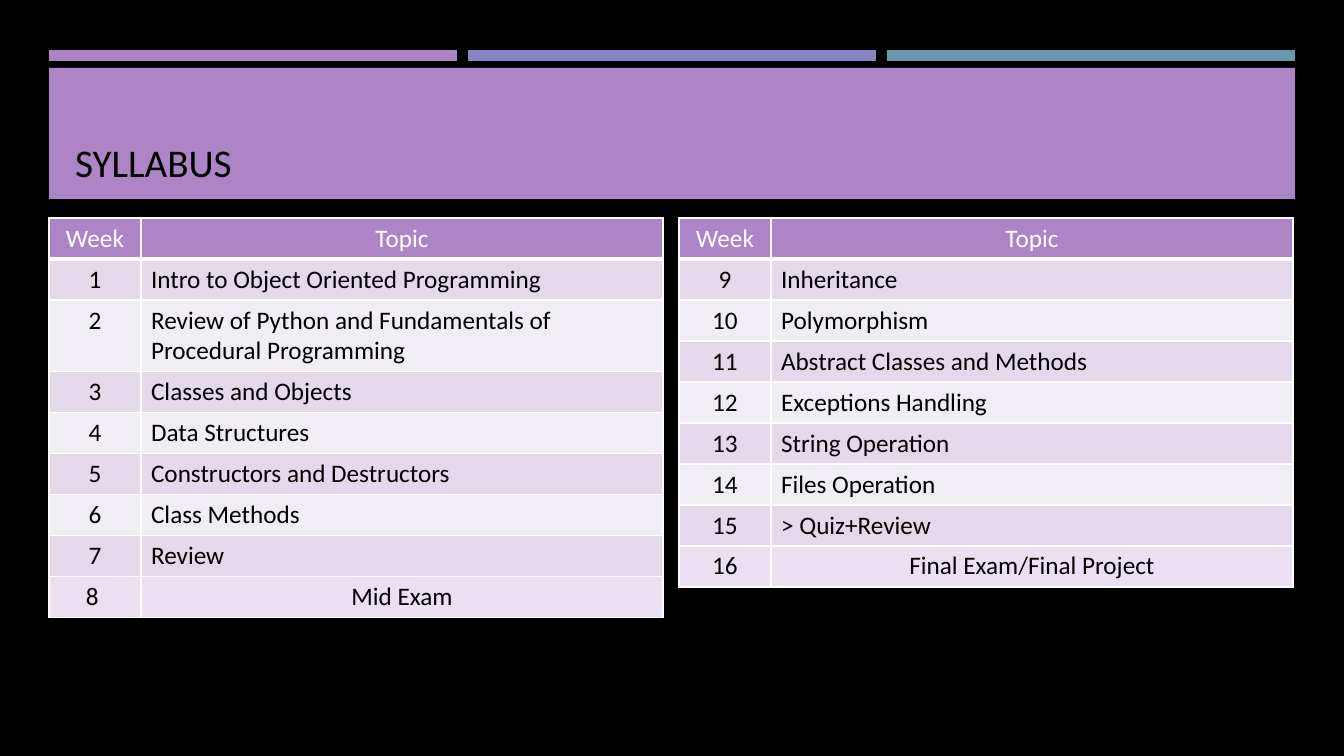
from lxml.etree import SubElement
from pptx import Presentation
from pptx.dml.color import RGBColor
from pptx.enum.shapes import MSO_SHAPE
from pptx.enum.text import MSO_ANCHOR, MSO_AUTO_SIZE, PP_ALIGN
from pptx.oxml.ns import qn
from pptx.util import Pt

PX = 914400 / 100.8
FONT = "Calibri"
BLACK, WHITE = "000000", "FFFFFF"
PURPLE, INDIGO, TEAL = "AD84C6", "8784C7", "6997AF"
BANDS = ("E3D9EA", "F1EDF5")
EXAM = "EAE0F1"
ROW_HEIGHT = 41
WEEK_WIDTH = 92

FIRST_HALF = [
    ("1", "Intro to Object Oriented Programming"),
    ("2", "Review of Python and Fundamentals of Procedural Programming"),
    ("3", "Classes and Objects"),
    ("4", "Data Structures"),
    ("5", "Constructors and Destructors"),
    ("6", "Class Methods"),
    ("7", "Review"),
    ("8 ", "Mid Exam"),
]
SECOND_HALF = [
    ("9", "Inheritance"),
    ("10", "Polymorphism"),
    ("11", "Abstract Classes and Methods"),
    ("12", "Exceptions Handling"),
    ("13", "String Operation"),
    ("14", "Files Operation"),
    ("15", "> Quiz+Review"),
    ("16", "Final Exam/Final Project"),
]


def px(length):
    """Turn pixels into EMU."""
    return round(length * PX)


def paint(fill, colour):
    """Fill with a solid hex colour."""
    fill.solid()
    fill.fore_color.rgb = RGBColor.from_string(colour)


def add_text(frame, text, size, colour, align):
    """Write one run into the first paragraph of a frame."""
    para = frame.paragraphs[0]
    para.alignment = align
    span = para.add_run()
    span.text = text
    span.font.name = FONT
    span.font.size = Pt(size)
    span.font.bold = False
    paint(span.font.fill, colour)


def add_bar(page, left, top, width, height, colour):
    """Draw a plain filled rectangle."""
    bar = page.shapes.add_shape(MSO_SHAPE.RECTANGLE, px(left), px(top), px(width), px(height))
    bar.shadow.inherit = False
    paint(bar.fill, colour)
    bar.line.fill.background()


def add_header(page, left, top, width):
    """Draw the three accent bars and the title band."""
    gap = 11
    bar_width = (width - 2 * gap) / 3
    for index, colour in enumerate((PURPLE, INDIGO, TEAL)):
        add_bar(page, left + index * (bar_width + gap), top, bar_width, 11, colour)
    add_bar(page, left, top + 18, width, 131, PURPLE)

    title = page.shapes.title
    title.left, title.top = px(left + 16), px(top + 28)
    title.width, title.height = px(width - 31), px(112)
    title.element.getparent().append(title.element)
    frame = title.text_frame
    frame.auto_size = MSO_AUTO_SIZE.NONE
    frame.word_wrap = True
    frame.vertical_anchor = MSO_ANCHOR.BOTTOM
    add_text(frame, "SYLLABUS", 28, BLACK, PP_ALIGN.LEFT)


def set_borders(cell, bottom):
    """Give a cell white borders, with its own bottom width in points."""
    properties = cell._tc.get_or_add_tcPr()
    for index, (side, points) in enumerate((("L", 1), ("R", 1), ("T", 1), ("B", bottom))):
        line = properties.makeelement(qn(f"a:ln{side}"), {"w": str(Pt(points))})
        solid = SubElement(line, qn("a:solidFill"))
        SubElement(solid, qn("a:srgbClr"), val=WHITE)
        properties.insert(index, line)


def add_schedule(page, left, top, width, weeks):
    """Draw a table of weeks and topics, ending in an exam row."""
    rows = [("Week", "Topic"), *weeks]
    last = len(rows) - 1
    table = page.shapes.add_table(
        len(rows), 2, px(left), px(top), px(width), px(ROW_HEIGHT * len(rows))
    ).table
    table.horz_banding = False
    table.columns[0].width = px(WEEK_WIDTH)
    table.columns[1].width = px(width - WEEK_WIDTH)
    for number, row in enumerate(rows):
        table.rows[number].height = px(ROW_HEIGHT)
        header = number == 0
        fill = PURPLE if header else EXAM if number == last else BANDS[(number - 1) % 2]
        for column, text in enumerate(row):
            cell = table.cell(number, column)
            paint(cell.fill, fill)
            set_borders(cell, 3 if header else 1)
            centred = column == 0 or number in (0, last)
            align = PP_ALIGN.CENTER if centred else PP_ALIGN.LEFT
            add_text(cell.text_frame, text, 18, WHITE if header else BLACK, align)


def build_syllabus(deck):
    """Build the syllabus slide."""
    page = deck.slides.add_slide(deck.slide_layouts[5])
    paint(page.background.fill, BLACK)
    add_header(page, 49, 50, 1246)
    for left, weeks in ((49, FIRST_HALF), (679, SECOND_HALF)):
        add_schedule(page, left, 218, 614, weeks)


def main():
    """Create and save the deck."""
    deck = Presentation()
    deck.slide_width, deck.slide_height = px(1344), px(756)
    build_syllabus(deck)
    deck.save("out.pptx")


if __name__ == "__main__":
    main()
